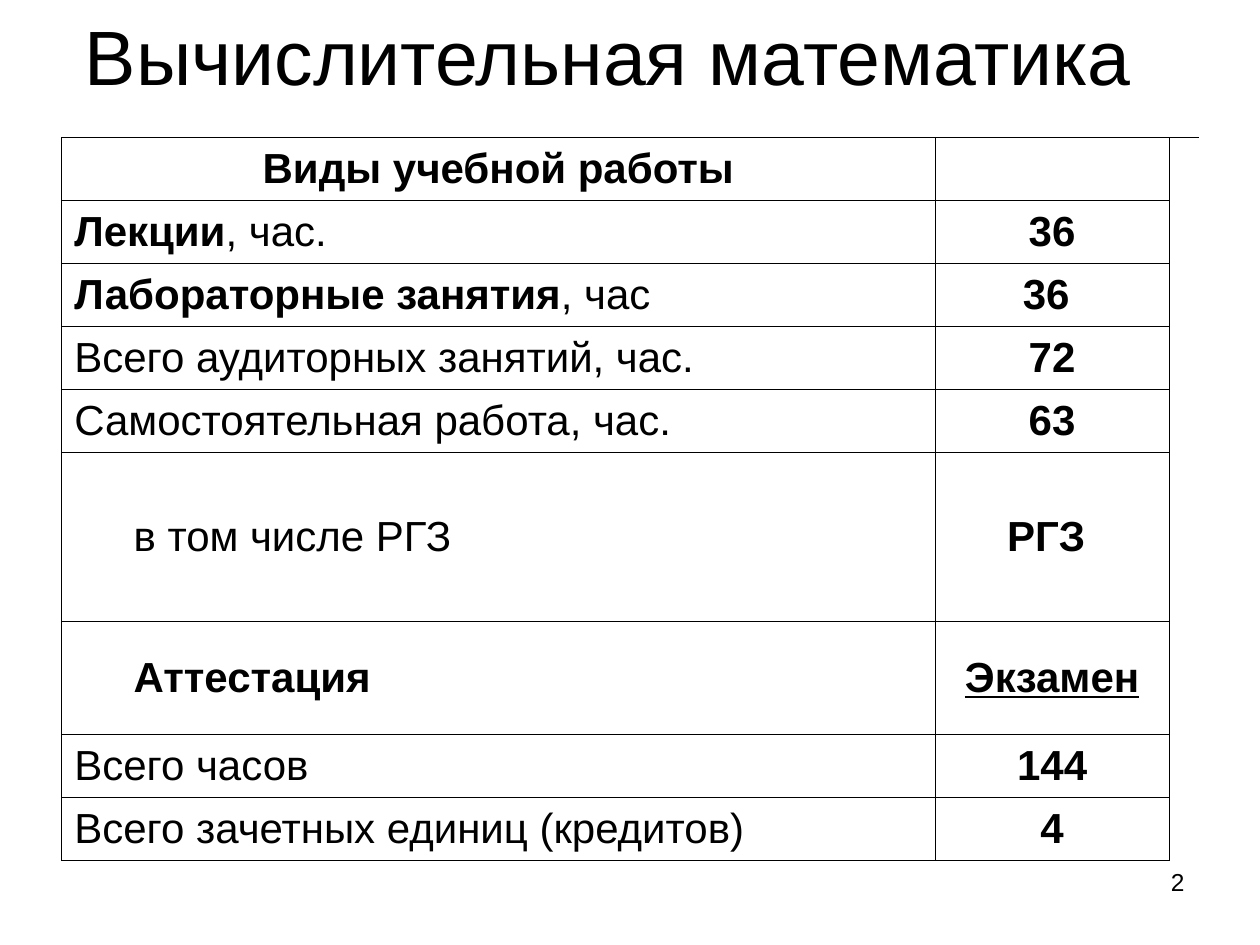
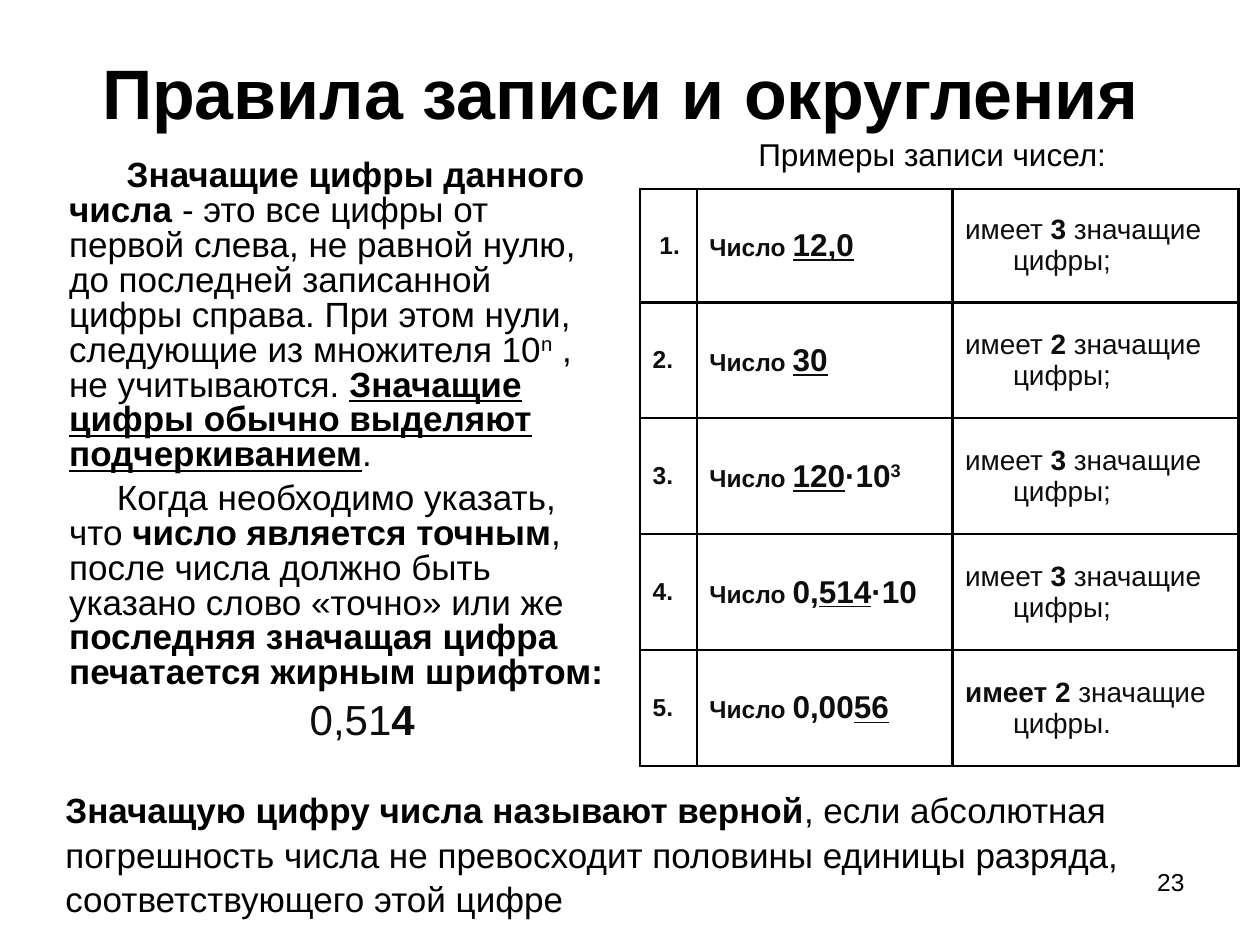
from dataclasses import dataclass, field

from lxml.etree import SubElement
from pptx import Presentation
from pptx.dml.color import RGBColor
from pptx.enum.text import MSO_ANCHOR as Anchor, MSO_AUTO_SIZE as AutoSize, PP_ALIGN as Align
from pptx.oxml import parse_xml
from pptx.oxml.ns import nsdecls, qn
from pptx.util import Inches, Pt


@dataclass(frozen=True)
class Theme:
    font: str = "Arial"
    black: str = "000000"
    soft_black: str = "0E0E0E"
    title: int = 44
    title_small: int = 40
    large: int = 24
    body: int = 20
    label: int = 18
    cell: int = 16
    small: int = 14


THEME = Theme()
TITLE_ONLY = 5
ALL_SIDES = "LRTB"


@dataclass
class Para:
    runs: list
    size: int
    color: str = THEME.black
    margin: float = 0
    indent: float = 0
    format: dict = field(default_factory=dict)


def assign(target, values):
    for name, value in values.items():
        setattr(target, name, value)


class Deck:
    def __init__(self, theme):
        self.theme = theme
        self.prs = Presentation()
        self.prs.slide_width, self.prs.slide_height = Inches(10), Inches(7.5)
        self.slide = None

    def new_slide(self, title, box, number):
        self.slide = self.prs.slides.add_slide(self.prs.slide_layouts[TITLE_ONLY])
        heading = self.slide.shapes.title
        assign(heading, dict(zip(("left", "top", "width", "height"), map(Inches, box))))
        title.format = {"alignment": Align.CENTER}
        self.fill_frame(heading.text_frame, [title], Anchor.MIDDLE)
        self.text([7.17, 6.83, 2.33, 0.52],
                  [Para([(number, "")], self.theme.small, format={"alignment": Align.RIGHT})])

    def fill_frame(self, frame, paras, anchor=Anchor.TOP):
        assign(frame, {"word_wrap": True, "auto_size": AutoSize.NONE, "vertical_anchor": anchor})
        self.fill_paragraphs(frame, paras)

    def fill_paragraphs(self, frame, paras):
        for index, para in enumerate(paras):
            paragraph = frame.add_paragraph() if index else frame.paragraphs[0]
            properties = paragraph._p.get_or_add_pPr()
            properties.set("marL", str(Inches(para.margin)))
            properties.set("indent", str(Inches(para.indent)))
            assign(paragraph, para.format)
            for text, *style in para.runs:
                self.add_run(paragraph, para, text, *style)

    def add_run(self, paragraph, para, text, marks, size=None):
        run = paragraph.add_run()
        run.text = text
        assign(run.font, {"name": self.theme.font, "size": Pt(size or para.size),
                          "bold": "b" in marks, "underline": "u" in marks})
        run.font.color.rgb = RGBColor.from_string(para.color)
        if "^" in marks:
            run._r.get_or_add_rPr().set("baseline", "30000")

    def text(self, box, paras):
        shape = self.slide.shapes.add_textbox(*map(Inches, box))
        self.fill_frame(shape.text_frame, paras)

    def table(self, origin, widths, heights, rows, line_width, sides=lambda row, column: ALL_SIDES):
        size = sum(widths), sum(heights)
        grid = self.slide.shapes.add_table(
            len(heights), len(widths), *map(Inches, (*origin, *size))).table
        assign(grid, {"first_row": False, "horz_banding": False})
        for column, width in zip(grid.columns, widths):
            column.width = Inches(width)
        for row, height in zip(grid.rows, heights):
            row.height = Inches(height)
        for r, contents in enumerate(rows):
            for c, para in enumerate(contents):
                cell = grid.cell(r, c)
                cell.vertical_anchor = Anchor.MIDDLE
                cell.fill.background()
                self.borders(cell, sides(r, c), line_width)
                if para:
                    self.fill_paragraphs(cell.text_frame, [para])

    def borders(self, cell, visible, width):
        properties = cell._tc.get_or_add_tcPr()
        for index, side in enumerate(ALL_SIDES):
            line = parse_xml(f'<a:ln{side} {nsdecls("a")} w="{Pt(width)}"/>')
            if side in visible:
                fill = SubElement(line, qn("a:solidFill"))
                SubElement(fill, qn("a:srgbClr"), val=self.theme.black)
            else:
                SubElement(line, qn("a:noFill"))
            properties.insert(index, line)


def add_course_slide(deck):
    theme = deck.theme
    deck.new_slide(Para([("Вычислительная математика", "")], theme.title),
                   [0.33, 0.17, 9, 0.53], "2")
    centred = {"alignment": Align.CENTER}
    workload = [
        ([("Лекции", "b"), (", час.", "")], "36", "b", 0),
        ([("Лабораторные занятия", "b"), (", час", "")], "36 ", "b", 0),
        ([("Всего аудиторных занятий, час.", "")], "72", "b", 0),
        ([("Самостоятельная работа, час.", "")], "63", "b", 0),
        ([("в том числе РГЗ", "")], "РГЗ ", "b", 0.47),
        ([("Аттестация", "b")], "Экзамен", "bu", 0.47),
        ([("Всего часов", "")], "144", "b", 0),
        ([("Всего зачетных единиц (кредитов)", "")], "4", "b", 0),
    ]
    rows = [[Para([("Виды учебной работы", "b")], theme.large, format=centred), None, None]]
    rows += [[Para(activity, theme.large, margin=margin),
              Para([(amount, marks)], theme.large, format=centred), None]
             for activity, amount, marks, margin in workload]

    def edge_sides(row, column):
        if column < 2:
            return ALL_SIDES
        return "L" if row else "LT"

    deck.table([0.49, 1.09], [6.93, 1.86, 0.24], [0.5] * 5 + [1.34, 0.9] + [0.5] * 2,
               rows, 0.45, edge_sides)


def add_rounding_slide(deck):
    theme = deck.theme
    deck.new_slide(Para([("Правила записи и округления ", "b")], theme.title_small),
                   [0.5, 0.1, 9, 1.25], "23")

    tight = {"line_spacing": 0.83}
    spaced = {**tight, "space_before": Pt(5)}
    first_line = {"margin": 0.02, "indent": 0.38}
    deck.text([0.43, 1.22, 4.49, 4.95], [
        Para([(" ", ""), ("Значащие цифры данного числа", "b"),
              (" - это все цифры от первой слева, не равной нулю, до последней записанной "
               "цифры справа. При этом нули, следующие из множителя 10", ""),
              ("n", "^"), (" , не учитываются. ", ""),
              ("Значащие цифры обычно выделяют подчеркиванием", "bu"), (".", "")],
             theme.body, format=tight, **first_line),
        Para([("Когда необходимо указать, что ", ""), ("число является точным", "b"),
              (", после числа должно быть указано слово «точно» или же ", ""),
              ("последняя значащая цифра печатается жирным шрифтом:", "b")],
             theme.body, format=spaced, **first_line),
        Para([("0,51", ""), ("4", "b")], theme.large, theme.soft_black,
             format={**tight, "space_before": Pt(6), "alignment": Align.CENTER}, **first_line),
    ])

    examples = [
        (" 1.", [("12,0", "bu")], "имеет ", "3", ";"),
        ("2.", [("30", "bu")], "имеет ", "2", ";"),
        ("3.", [("120", "bu"), ("·10", "b"), ("3", "b^")], "имеет ", "3", ";"),
        ("4.", [("0,", "b"), ("514", "bu"), ("·10", "b")], "имеет ", "3", ";"),
        ("5.", [("0,00", "b"), ("56", "bu")], "", "имеет 2", "."),
    ]
    rows = []
    for order, digits, verb, count, ending in examples:
        value = [("Число ", "b")] + [(text, marks, theme.label) for text, marks in digits]
        verdict = [(verb, "")] if verb else []
        verdict += [(count, "b"), (f" значащие цифры{ending}", "")]
        rows.append([Para([(order, "b")], theme.small, theme.soft_black),
                     Para(value, theme.small, theme.soft_black),
                     Para(verdict, theme.cell, theme.soft_black, margin=0.38, indent=-0.38)])
    deck.table([5.08, 1.5], [0.45, 2.03, 2.27], [0.9] + [0.92] * 4, rows, 1.47)

    deck.text([5.92, 1.02, 3.17, 0.4], [Para([("Примеры записи чисел:", "")], theme.label)])
    deck.text([0.42, 6.19, 9.58, 1.1], [
        Para([("Значащую цифру числа называют верной", "b"),
              (", если абсолютная погрешность числа не превосходит половины единицы разряда, "
               "соответствующего этой цифре", "")],
             theme.body, format={"line_spacing": 1.06})])


def main():
    deck = Deck(THEME)
    add_course_slide(deck)
    add_rounding_slide(deck)
    deck.prs.save("out.pptx")


if __name__ == "__main__":
    main()
